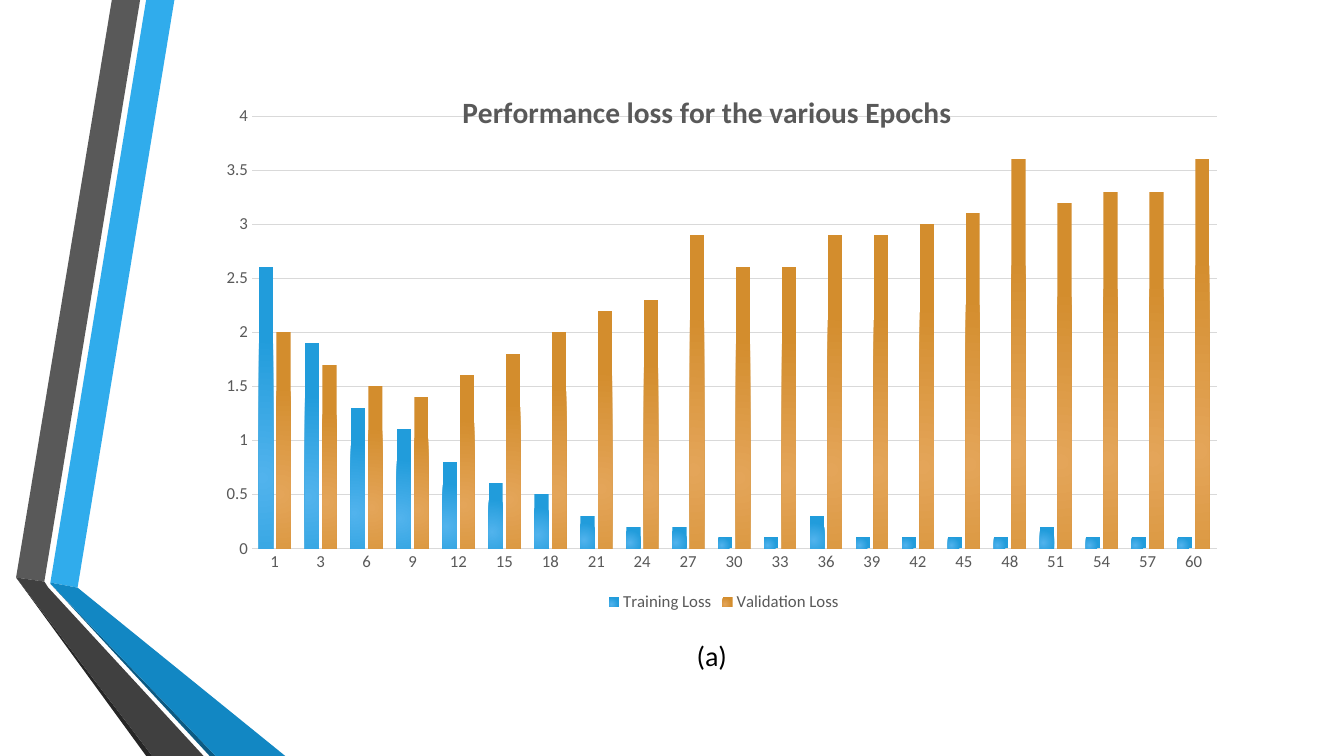
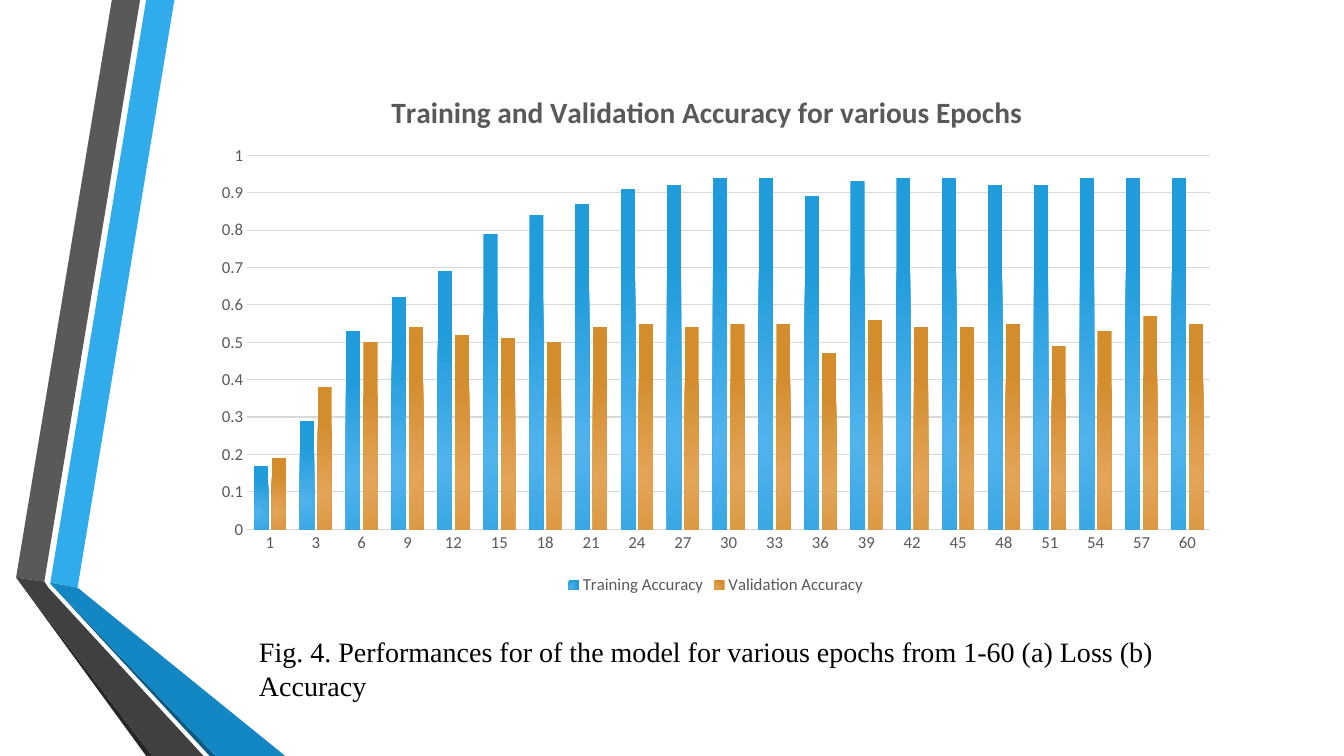
import pptx
import pptx.chart.data
import pptx.dml.color
import pptx.enum.chart
import pptx.enum.text
import pptx.oxml
import pptx.oxml.ns
import pptx.util
from pptx.util import Inches, Pt

COLORS = {
    "text": "000000",
    "label": "595959",
    "grid": "D9D9D9",
    "sky": "30ACEC",
    "ocean": "1287C3",
    "navy": "0C5A82",
    "grey": "595959",
    "charcoal": "404040",
    "black": "262626",
}
# Inner and outer gradient colour of each series
SERIES_GRADIENTS = [("51B3ED", "219CDB"), ("E4A559", "D38D2D")]

# Folded ribbon on the left edge, from back to front
RIBBON = [
    ("sky", [(0.5, 5.78), (0.77, 5.83), (1.73, 0), (1.45, 0)]),
    ("grey", [(1.39, 0), (1.11, 0), (0.16, 5.73), (0.44, 5.77)]),
    ("black", [(0.16, 5.73), (1.45, 7.5), (1.51, 7.5)]),
    ("navy", [(0.5, 5.79), (2.08, 7.5), (2.14, 7.5)]),
    ("ocean", [(0.5, 5.79), (2.14, 7.5), (2.83, 7.5), (0.77, 5.83), (0.5, 5.78)]),
    ("charcoal", [(2.02, 7.5), (0.48, 5.83), (0.44, 5.77), (0.16, 5.73), (1.51, 7.5)]),
]

EPOCHS = ["1"] + [str(epoch) for epoch in range(3, 61, 3)]
LOSS = {
    "Training Loss": [2.6, 1.9, 1.3, 1.1, 0.8, 0.6, 0.5, 0.3, 0.2, 0.2, 0.1,
                      0.1, 0.3, 0.1, 0.1, 0.1, 0.1, 0.2, 0.1, 0.1, 0.1],
    "Validation Loss": [2, 1.7, 1.5, 1.4, 1.6, 1.8, 2, 2.2, 2.3, 2.9, 2.6,
                        2.6, 2.9, 2.9, 3, 3.1, 3.6, 3.2, 3.3, 3.3, 3.6],
}
ACCURACY = {
    "Training Accuracy": [0.17, 0.29, 0.53, 0.62, 0.69, 0.79, 0.84, 0.87, 0.91, 0.92, 0.94,
                          0.94, 0.89, 0.93, 0.94, 0.94, 0.92, 0.92, 0.94, 0.94, 0.94],
    "Validation Accuracy": [0.19, 0.38, 0.5, 0.54, 0.52, 0.51, 0.5, 0.54, 0.55, 0.54, 0.55,
                            0.55, 0.47, 0.56, 0.54, 0.54, 0.55, 0.49, 0.53, 0.57, 0.55],
}


def rgb(name):
    return pptx.dml.color.RGBColor.from_string(COLORS[name])


def style_font(font, name, size, color, bold=False):
    font.name, font.size, font.bold = name, Pt(size), bold
    font.color.rgb = rgb(color)


def add_ribbon(master, slide):
    """Draw the ribbon on a slide, then move it to the back of the master."""
    for order, (color, points) in enumerate(RIBBON):
        corners = [(Inches(x), Inches(y)) for x, y in points]
        builder = slide.shapes.build_freeform(*corners[0])
        builder.add_line_segments(corners[1:], close=True)
        band = builder.convert_to_shape()
        band.shadow.inherit = False
        band.fill.solid()
        band.fill.fore_color.rgb = rgb(color)
        band.line.fill.background()
        band.element.xpath(".//p:cNvPr")[0].set("id", str(100 + order))
        master.shapes.element.insert(2 + order, band.element)


def set_layout(parent, index, fractions, target=""):
    """Place a chart part by fractions of the chart: x, y and perhaps w, h."""
    for old in parent.xpath("c:layout"):
        parent.remove(old)
    keys = "xywh"[:len(fractions)]
    modes = "".join(f'<c:{key}Mode val="edge"/>' for key in "xy")
    values = "".join(f'<c:{key} val="{value}"/>' for key, value in zip(keys, fractions))
    parent.insert(index, pptx.oxml.parse_xml(
        f'<c:layout {pptx.oxml.ns.nsdecls("c")}><c:manualLayout>'
        f"{target}{modes}{values}</c:manualLayout></c:layout>"))


def style_axes(chart, maximum, step):
    for axis in (chart.category_axis, chart.value_axis):
        axis.major_tick_mark = pptx.enum.chart.XL_TICK_MARK.NONE
        axis.minor_tick_mark = pptx.enum.chart.XL_TICK_MARK.NONE
    chart.category_axis.format.line.color.rgb = rgb("grid")
    chart.category_axis.format.line.width = Pt(1)
    scale = chart.value_axis
    scale.minimum_scale, scale.maximum_scale, scale.major_unit = 0, maximum, step
    scale.format.line.fill.background()
    scale.has_major_gridlines = True
    scale.major_gridlines.format.line.color.rgb = rgb("grid")
    scale.major_gridlines.format.line.width = Pt(0.75)


def style_series(plot, chart):
    plot.gap_width, plot.overlap, plot.vary_by_categories = 100, -24, False
    for series, gradient in zip(plot.series, SERIES_GRADIENTS):
        fill = series.format.fill
        fill.gradient()
        for stop, color in zip(fill.gradient_stops, gradient):
            stop.color.rgb = pptx.dml.color.RGBColor.from_string(color)
    # Radial gradient centred on the foot of the column
    for gradient_fill in chart.element.xpath(".//c:ser/c:spPr/a:gradFill"):
        for linear in gradient_fill.xpath("a:lin"):
            gradient_fill.replace(linear, pptx.oxml.parse_xml(
                f'<a:path {pptx.oxml.ns.nsdecls("a")} path="circle">'
                '<a:fillToRect l="50000" t="100000" r="100000" b="50000"/></a:path>'))


def add_epoch_chart(slide, box, title, title_at, plot_at, measures, maximum, step):
    chart_data = pptx.chart.data.CategoryChartData()
    chart_data.categories = EPOCHS
    for name, values in measures.items():
        chart_data.add_series(name, values)
    chart = slide.shapes.add_chart(
        pptx.enum.chart.XL_CHART_TYPE.COLUMN_CLUSTERED,
        *map(Inches, box), chart_data).chart
    style_font(chart.font, "Calibri", 12, "label")

    # Title
    chart.has_title = True
    heading = chart.chart_title.text_frame
    heading.text = title
    style_font(heading.paragraphs[0].font, "Calibri", 21, "label", bold=True)
    set_layout(chart.chart_title.element, 1, title_at)

    # Legend
    chart.has_legend = True
    chart.legend.position = pptx.enum.chart.XL_LEGEND_POSITION.BOTTOM
    chart.legend.include_in_layout = False
    style_font(chart.legend.font, "Calibri", 12, "label")

    # Plot area
    style_axes(chart, maximum, step)
    style_series(chart.plots[0], chart)
    set_layout(chart.element.xpath("c:chart/c:plotArea")[0], 0, plot_at,
               '<c:layoutTarget val="inner"/>')


def add_caption(slide, box, text, font_name):
    frame = slide.shapes.add_textbox(*map(Inches, box)).text_frame
    frame.word_wrap = True
    frame.auto_size = pptx.enum.text.MSO_AUTO_SIZE.SHAPE_TO_FIT_TEXT
    frame.text = text
    style_font(frame.paragraphs[0].font, font_name, 20, "text")


def main():
    prs = pptx.Presentation()
    prs.slide_width, prs.slide_height = Inches(13.33), Inches(7.5)
    blank = prs.slide_layouts[6]

    # Loss
    loss_slide = prs.slides.add_slide(blank)
    add_ribbon(prs.slide_master, loss_slide)
    add_caption(loss_slide, (6.81, 6.29, 0.58, 0.44), "(a)", "Calibri")
    add_epoch_chart(loss_slide, (2.09, 0.75, 10.18, 5.36),
                    "Performance loss for the various Epochs",
                    (0.24, 0.02), (0.04, 0.075, 0.94, 0.8), LOSS, 4, 0.5)

    # Accuracy
    accuracy_slide = prs.slides.add_slide(blank)
    add_epoch_chart(accuracy_slide, (1.99, 0.64, 10.22, 5.3),
                    "Training and Validation Accuracy for various Epochs",
                    (0.18, 0.04), (0.045, 0.17, 0.935, 0.7), ACCURACY, 1, 0.1)
    add_caption(accuracy_slide, (2.47, 6.25, 10.17, 0.44),
                "Fig. 4. Performances for of the model for various epochs "
                "from 1-60 (a) Loss (b) Accuracy", "Times New Roman")

    prs.save("out.pptx")


if __name__ == "__main__":
    main()
